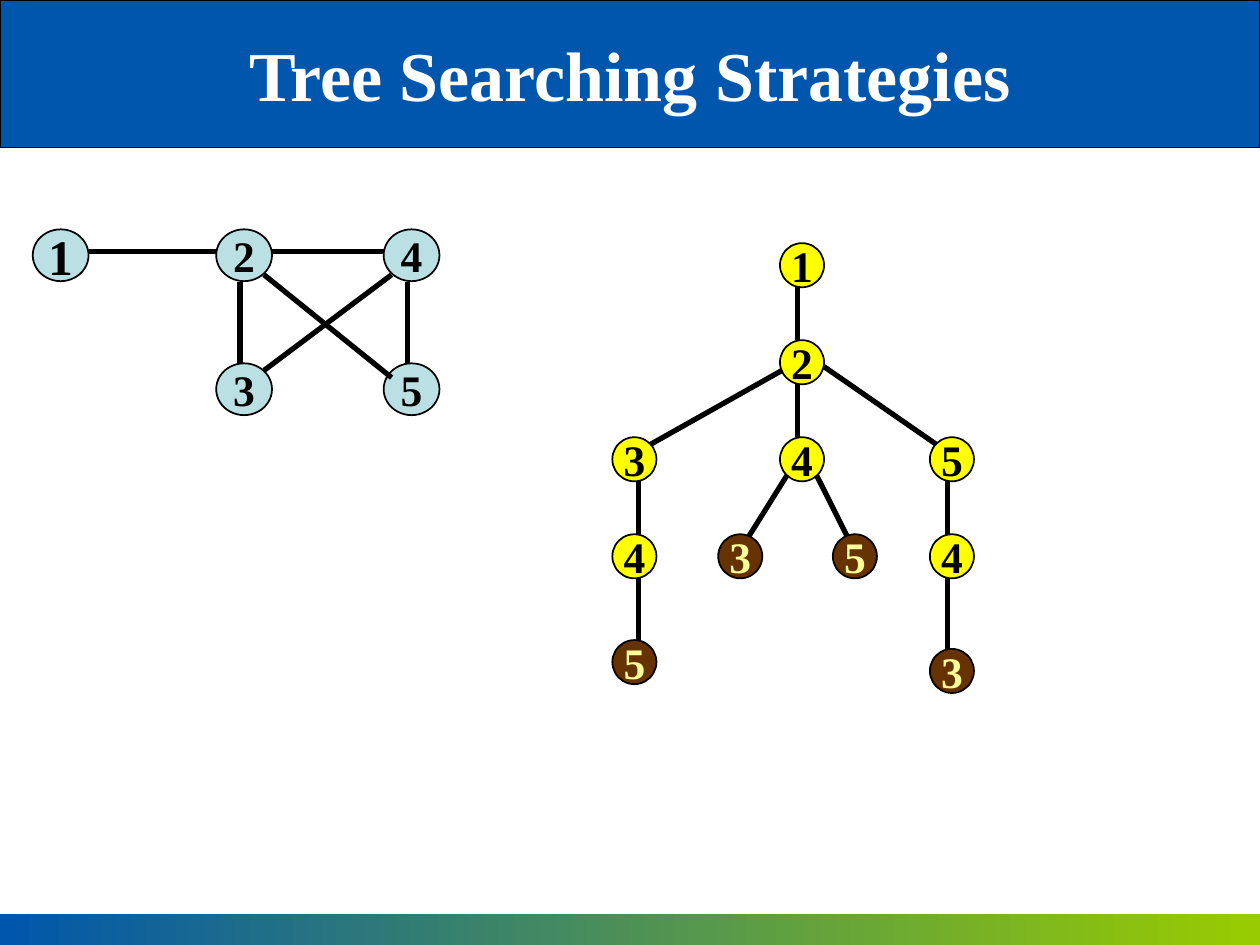
from lxml.etree import SubElement
from pptx import Presentation
from pptx.dml.color import RGBColor
from pptx.enum.shapes import MSO_CONNECTOR as Connector, MSO_SHAPE as Preset
from pptx.enum.text import MSO_ANCHOR as Anchor, PP_ALIGN as Align
from pptx.oxml.ns import qn
from pptx.util import Inches, Pt

WIDTH, HEIGHT = 10, 7.5
FONT = "Times New Roman"
BLACK, WHITE, BLUE, GREEN = "000000", "FFFFFF", "0056AC", "99CC00"
YELLOW, BROWN, CREAM, PALE = "FFFF00", "663300", "FFFF99", "BBE0E3"

TREE = {"left": 4.86, "top": 1.93, "unit": 0.07}
TREE_NODES = [
    ("1", 19, 0), ("2", 19, 11), ("3", 0, 22), ("4", 19, 22),
    ("5", 36, 22), ("4", 0, 33), ("4", 36, 33),
]
TREE_LEAVES = [("5", 25, 33), ("3", 12, 33), ("3", 36, 46), ("5", 0, 45)]
TREE_EDGES = [
    (21, 5, 21, 11), (21, 15, 21, 22), (20, 26, 15, 34), (23, 26, 27, 34),
    (20, 14, 4, 23), (24, 14, 37, 23), (3, 27, 3, 33), (3, 38, 3, 45),
    (38, 27, 38, 33), (38, 38, 38, 47),
]

GRAPH = {"left": 0.26, "top": 1.82, "unit": WIDTH / 158}
GRAPH_NODES = [("2", 23, 0), ("4", 44, 0), ("3", 23, 16.8), ("5", 44, 16.8)]
GRAPH_EDGES = [
    (7, 2.8, 23, 2.8), (30, 2.8, 44, 2.8), (26, 6.6, 26, 16.8),
    (47, 6.6, 47, 16.8), (29, 5.7, 45, 18.6), (45, 5.7, 29, 17.7),
]


def color(value):
    return RGBColor.from_string(value)


def place(grid, column, row):
    unit = grid["unit"]
    return Inches(grid["left"] + column * unit), Inches(grid["top"] + row * unit)


def write(shape, text, size=24.9, ink=BLACK, wrap=False):
    frame = shape.text_frame
    frame.word_wrap = wrap
    frame.vertical_anchor = Anchor.MIDDLE
    paragraph = frame.paragraphs[0]
    paragraph.alignment = Align.CENTER
    run = paragraph.add_run()
    run.text = text
    run.font.name, run.font.size, run.font.bold = FONT, Pt(size), True
    run.font.color.rgb = color(ink)


def add_preset(slide, preset, left, top, width, height, fill, line_width=1):
    shape = slide.shapes.add_shape(preset, left, top, width, height)
    shape.shadow.inherit = False
    shape.fill.solid()
    shape.fill.fore_color.rgb = color(fill)
    shape.line.color.rgb = color(BLACK)
    shape.line.width = Pt(line_width)
    return shape


def add_node(slide, grid, node, columns, rows, fill, **text_format):
    label, column, row = node
    left, top = place(grid, column, row)
    size = Inches(columns * grid["unit"]), Inches(rows * grid["unit"])
    shape = add_preset(slide, Preset.OVAL, left, top, *size, fill)
    write(shape, label, **text_format)


def add_edge(slide, grid, edge):
    start, end = place(grid, *edge[:2]), place(grid, *edge[2:])
    connector = slide.shapes.add_connector(Connector.STRAIGHT, *start, *end)
    connector.line.color.rgb = color(BLACK)
    connector.line.width = Pt(3)
    SubElement(connector._element.spPr, qn("a:effectLst"))


def add_bands(slide):
    add_preset(slide, Preset.RECTANGLE, 0, 0, Inches(WIDTH), Inches(1.17), BLUE, 0.75)
    footer = add_preset(slide, Preset.RECTANGLE, 0, Inches(HEIGHT * 29 / 30),
                        Inches(WIDTH), Inches(HEIGHT / 30), BLUE)
    footer.line.fill.background()
    footer.fill.gradient()
    footer.fill.gradient_angle = 0
    for stop, position, value in zip(footer.fill.gradient_stops, (0, 1), (BLUE, GREEN)):
        stop.position = position
        stop.color.rgb = color(value)


def add_title(slide, text):
    box = slide.shapes.add_textbox(Inches(WIDTH / 8), Inches(0.08),
                                   Inches(WIDTH * 3 / 4), Inches(1))
    write(box, text, size=40, ink=WHITE, wrap=True)


def add_tree(slide):
    for edge in TREE_EDGES:
        add_edge(slide, TREE, edge)
    for node in TREE_NODES:
        add_node(slide, TREE, node, 5, 5, YELLOW)
    for leaf in TREE_LEAVES:
        add_node(slide, TREE, leaf, 5, 5, BROWN, ink=CREAM)


def add_graph(slide):
    add_node(slide, GRAPH, ("1", 0, 0), 7, 6.5, PALE, size=28.4)
    for node in GRAPH_NODES:
        add_node(slide, GRAPH, node, 7, 6.5, PALE)
    for edge in GRAPH_EDGES:
        add_edge(slide, GRAPH, edge)


def main():
    presentation = Presentation()
    presentation.slide_width = Inches(WIDTH)
    presentation.slide_height = Inches(HEIGHT)
    slide = presentation.slides.add_slide(presentation.slide_layouts[6])
    add_bands(slide)
    add_tree(slide)
    add_graph(slide)
    add_title(slide, "Tree Searching Strategies")
    presentation.save("out.pptx")


if __name__ == "__main__":
    main()
